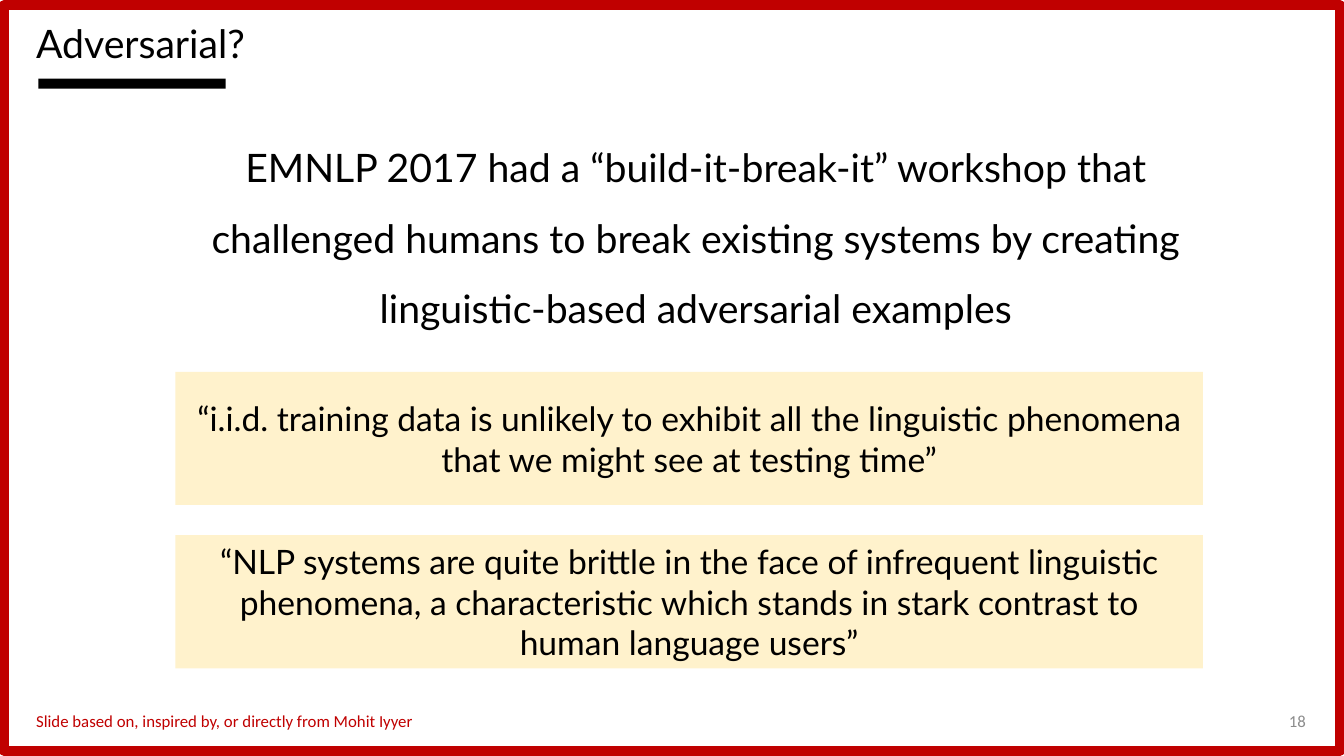
import pptx
import pptx.util
import pptx.dml.color
import pptx.enum.shapes
import pptx.enum.text

Inches = pptx.util.Inches
Pt = pptx.util.Pt
ALIGN = pptx.enum.text.PP_ALIGN
ANCHOR = pptx.enum.text.MSO_ANCHOR

COLORS = {
    "white": "FFFFFF",
    "black": "000000",
    "red": "C00000",
    "cream": "FFF2CC",
    "gray": "8C8C8C",
}


class SlideBuilder:
    """Holds the style and the current slide."""

    def __init__(self, prs):
        self.s = prs.slides.add_slide(prs.slide_layouts[6])
        self.heading_font = "Lato"
        self.footer_font = "Calibri"

    def color(self, name):
        return pptx.dml.color.RGBColor.from_string(COLORS[name])

    def set_text(self, sp, text, size, color="black", font=None,
                 align=ALIGN.LEFT, anchor=ANCHOR.TOP, spacing=None):
        tf = sp.text_frame
        tf.word_wrap = True
        tf.vertical_anchor = anchor
        p = tf.paragraphs[0]
        p.text = text
        p.alignment = align
        if spacing:
            p.line_spacing = spacing
        p.font.size = Pt(size)
        p.font.name = font or self.heading_font
        p.font.color.rgb = self.color(color)

    def rect(self, x, y, w, h, fill, line=None, line_width=0):
        sp = self.s.shapes.add_shape(
            pptx.enum.shapes.MSO_SHAPE.RECTANGLE,
            Inches(x), Inches(y), Inches(w), Inches(h))
        sp.shadow.inherit = False
        sp.fill.solid()
        sp.fill.fore_color.rgb = self.color(fill)
        if line:
            sp.line.color.rgb = self.color(line)
            sp.line.width = Pt(line_width)
        else:
            sp.line.fill.background()
        return sp

    def text_box(self, x, y, w, h, text, size, **style):
        sp = self.s.shapes.add_textbox(
            Inches(x), Inches(y), Inches(w), Inches(h))
        self.set_text(sp, text, size, **style)

    def quote(self, y, text):
        sp = self.rect(1.74, y, 10.19, 1.32, "cream")
        self.set_text(sp, text, 24, align=ALIGN.CENTER, anchor=ANCHOR.MIDDLE)


def main():
    prs = pptx.Presentation()
    prs.slide_width = Inches(13.33)
    prs.slide_height = Inches(7.5)
    b = SlideBuilder(prs)

    # Frame and slide number
    b.rect(0.04, 0.05, 13.25, 7.4, "white", line="red", line_width=7)
    b.text_box(10.05, 6.95, 3, 0.4, "18", 12, color="gray",
               font=b.footer_font, align=ALIGN.RIGHT, anchor=ANCHOR.MIDDLE)

    # Title with underline bar
    b.rect(0.38, 0.78, 1.86, 0.1, "black")
    b.text_box(0.26, 0.19, 2.95, 0.68, "Adversarial?", 28, spacing=0.9)

    # Main statement
    b.text_box(1.87, 1.14, 10.06, 2.55,
               "EMNLP 2017 had a “build-it-break-it” workshop that challenged "
               "humans to break existing systems by creating linguistic-based "
               "adversarial examples",
               28, align=ALIGN.CENTER, spacing=1.5)

    # Quotes
    quotes = [
        "“i.i.d. training data is unlikely to exhibit all the linguistic "
        "phenomena that we might see at testing time”",
        "“NLP systems are quite brittle in the face of infrequent linguistic "
        "phenomena, a characteristic which stands in stark contrast to human "
        "language users”",
    ]
    for i, quote in enumerate(quotes):
        b.quote(3.69 + 1.62 * i, quote)

    # Credit line
    b.text_box(0.26, 7, 4.2, 0.31,
               "Slide based on, inspired by, or directly from Mohit Iyyer",
               12, color="red", font=b.footer_font)

    prs.save("out.pptx")


if __name__ == "__main__":
    main()
